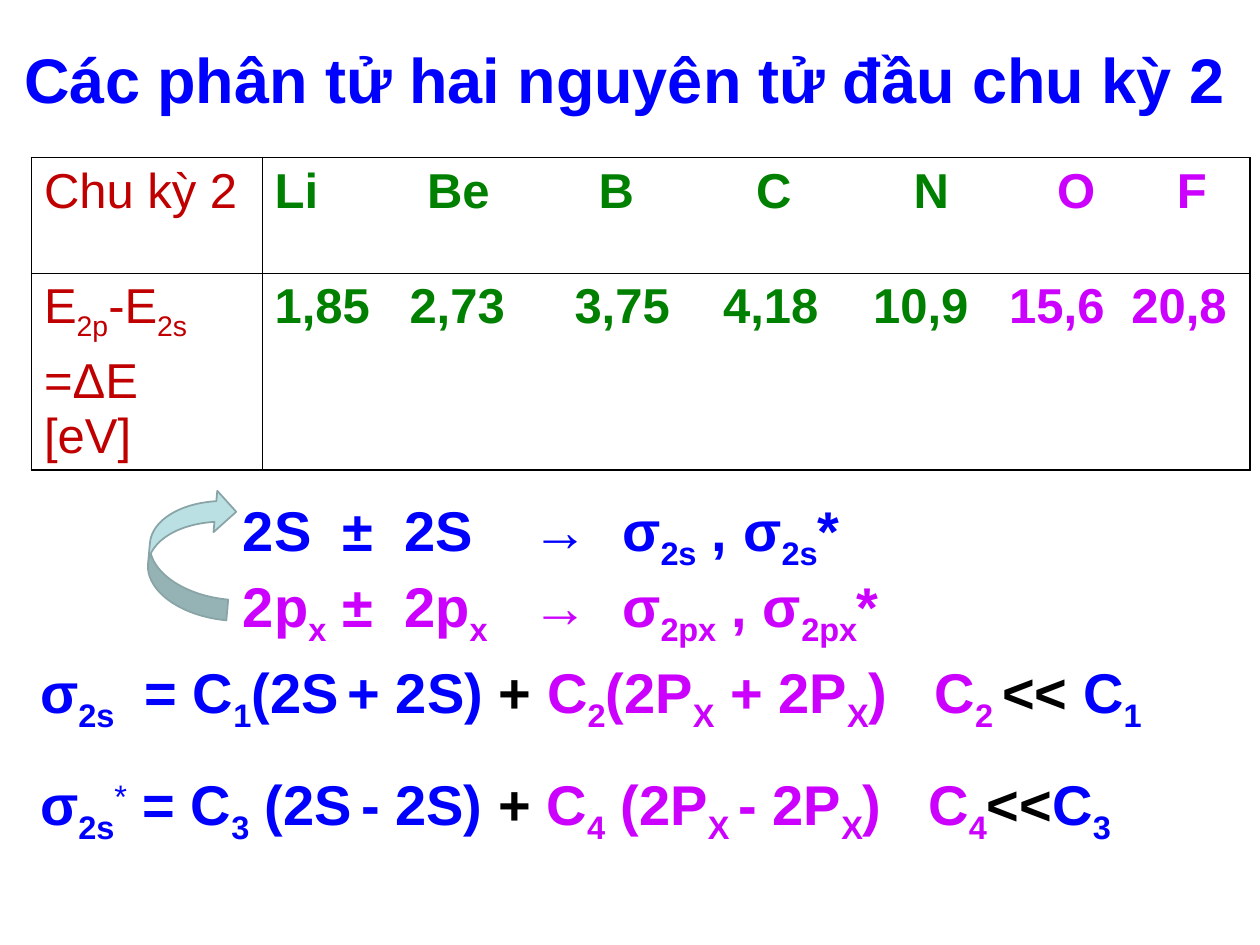
"""Build a slide on diatomic molecules at the start of period 2."""
from dataclasses import dataclass

from lxml import etree
from pptx import Presentation
from pptx.dml.color import RGBColor
from pptx.enum.shapes import MSO_SHAPE
from pptx.enum.text import MSO_ANCHOR, MSO_AUTO_SIZE, PP_ALIGN
from pptx.oxml.ns import qn
from pptx.util import Inches, Pt

BLUE = RGBColor(0x00, 0x00, 0xFF)
PURPLE = RGBColor(0xCC, 0x00, 0xFF)
GREEN = RGBColor(0x00, 0x80, 0x00)
RED = RGBColor(0xC0, 0x00, 0x00)
BLACK = RGBColor(0x00, 0x00, 0x00)
PALE_TEAL = RGBColor(0xBB, 0xE0, 0xE3)
GREY_TEAL = RGBColor(0x89, 0xA4, 0xA7)

CURVED_ARROW = MSO_SHAPE.CURVED_DOWN_ARROW
MIDDLE = MSO_ANCHOR.MIDDLE
TOP = MSO_ANCHOR.TOP
CENTER = PP_ALIGN.CENTER
NO_AUTOFIT = MSO_AUTO_SIZE.NONE
SUBSCRIPT = -25
SUPERSCRIPT = 30
OUTER_BORDER = Pt(1.08)
INNER_BORDER = Pt(0.45)


@dataclass
class Span:
    text: str
    color: RGBColor
    baseline: int = 0
    bold: bool = True


@dataclass
class Line:
    spans: list[Span]
    tabs: tuple[float, ...] = ()
    space_before: float = 0


def colored(color: RGBColor, *parts: str, bold: bool = True) -> list[Span]:
    """Return spans of one colour, where every second part is a subscript."""
    return [Span(part, color, SUBSCRIPT if index % 2 else 0, bold)
            for index, part in enumerate(parts)]


def add_text(paragraph, text: str, *, size: float, color: RGBColor,
             bold: bool = True, baseline: int = 0) -> None:
    """Append formatted text, turning newlines into line breaks."""
    for index, piece in enumerate(text.split("\n")):
        if index:
            paragraph.add_line_break()
        run = paragraph.add_run()
        run.text = piece
        run.font.name = "Arial"
        run.font.size = Pt(size)
        run.font.bold = bold
        run.font.color.rgb = color
        if baseline:
            run.font._element.set("baseline", str(baseline * 1000))


def write_lines(text_frame, lines: list[Line], size: float) -> None:
    """Fill a text frame with one paragraph for each line."""
    for index, line in enumerate(lines):
        paragraph = text_frame.add_paragraph() if index else text_frame.paragraphs[0]
        paragraph.space_before = Pt(line.space_before)
        if line.tabs:
            tab_list = etree.SubElement(paragraph._p.get_or_add_pPr(), qn("a:tabLst"))
            for position in line.tabs:
                etree.SubElement(tab_list, qn("a:tab"), pos=str(Inches(position)), algn="l")
        for span in line.spans:
            add_text(paragraph, span.text, size=size, color=span.color,
                     bold=span.bold, baseline=span.baseline)


def set_borders(cell, row: int, column: int) -> None:
    """Draw thick outer and thin inner borders in a two by two table."""
    properties = cell._tc.get_or_add_tcPr()
    outer_sides = {"L": column == 0, "R": column == 1, "T": row == 0, "B": row == 1}
    for position, (side, is_outer) in enumerate(outer_sides.items()):
        width = OUTER_BORDER if is_outer else INNER_BORDER
        border = etree.Element(qn(f"a:ln{side}"), w=str(width))
        fill = etree.SubElement(border, qn("a:solidFill"))
        etree.SubElement(fill, qn("a:srgbClr"), val=str(BLACK))
        properties.insert(position, border)


def add_energy_table(slide, rows: list[list[list[Line]]]) -> None:
    """Add the table of energy differences."""
    table = slide.shapes.add_table(2, 2, Inches(0.25), Inches(1.25),
                                   Inches(9.67), Inches(2.34)).table
    table.first_row = False
    table.horz_banding = False
    for column, width in zip(table.columns, (1.83, 7.84)):
        column.width = Inches(width)
    for row, height in zip(table.rows, (0.92, 1.42)):
        row.height = Inches(height)
    for row_index, row_cells in enumerate(rows):
        for column_index, lines in enumerate(row_cells):
            cell = table.cell(row_index, column_index)
            cell.fill.background()
            set_borders(cell, row_index, column_index)
            write_lines(cell.text_frame, lines, 28)


def add_formulas(slide, left: float, top: float, width: float, height: float,
                 lines: list[Line]) -> None:
    """Add a text box of formulas."""
    box = slide.shapes.add_textbox(Inches(left), Inches(top), Inches(width), Inches(height))
    box.text_frame.word_wrap = True
    box.text_frame.auto_size = NO_AUTOFIT
    box.text_frame.vertical_anchor = TOP
    write_lines(box.text_frame, lines, 32)


def add_title(slide, text: str) -> None:
    """Place and format the title."""
    title = slide.shapes.title
    title.left, title.top = Inches(-0.08), Inches(0)
    title.width, title.height = Inches(10.08), Inches(1.25)
    title.text_frame.auto_size = NO_AUTOFIT
    title.text_frame.vertical_anchor = MIDDLE
    paragraph = title.text_frame.paragraphs[0]
    paragraph.alignment = CENTER
    add_text(paragraph, text, size=36, color=BLUE)


def add_mixing_arrow(slide) -> None:
    """Add the curved arrow from the 2p to the 2s orbitals."""
    arrow = slide.shapes.add_shape(CURVED_ARROW, Inches(1), Inches(4.05),
                                   Inches(1.03), Inches(0.66))
    arrow.rotation = 275.2
    arrow.shadow.inherit = False
    arrow.fill.solid()
    arrow.fill.fore_color.rgb = PALE_TEAL
    arrow.line.color.rgb = GREY_TEAL
    arrow.line.width = Pt(1)


def main() -> None:
    """Create and save the presentation."""
    presentation = Presentation()
    presentation.slide_width, presentation.slide_height = Inches(10), Inches(7.5)
    slide = presentation.slides.add_slide(presentation.slide_layouts[5])
    add_title(slide, "Các phân tử hai nguyên tử đầu chu kỳ 2")

    element_tabs = (1.21, 2.57, 3.82, 5.07, 6.21, 7.16)
    energy_tabs = (1.07, 2.38, 3.56, 4.75, 5.83, 6.8)
    add_energy_table(slide, [
        [[Line(colored(RED, "Chu kỳ 2", bold=False))],
         [Line(colored(GREEN, "Li\tBe\tB\tC\tN\t") + colored(PURPLE, "O\tF"),
               element_tabs)]],
        [[Line(colored(RED, "E", "2p", "-E", "2s", bold=False)),
          Line(colored(RED, "=ΔE\n[eV]", bold=False), space_before=7)],
         [Line(colored(GREEN, "1,85\t2,73\t3,75\t4,18\t10,9\t")
               + colored(PURPLE, "15,6\t20,8"), energy_tabs)]],
    ])

    add_formulas(slide, 0.22, 5.17, 10.08, 1.59, [
        Line(colored(BLUE, "σ", "2s", "\t= C", "1", "(2S", " ", "+ 2S) ")
             + colored(BLACK, "+ ")
             + colored(PURPLE, "C", "2", "(2P", "X", " + 2P", "X", ")\tC", "2 ")
             + colored(BLACK, "<< ") + colored(BLUE, "C", "1"), (0.83, 7.1)),
        Line(colored(BLUE, "σ", "2s") + [Span("*", BLUE, SUPERSCRIPT, False)]
             + colored(BLUE, " = C", "3", " (2S", " ", "- 2S) ") + colored(BLACK, "+ ")
             + colored(PURPLE, "C", "4", " (2P", "X ", "- 2P", "X", ")\tC", "4")
             + colored(BLACK, "<<") + colored(BLUE, "C", "3"), (7.05,), 20),
    ])

    orbital_tabs = (0.79, 1.28, 2.3, 3.01)
    add_formulas(slide, 1.83, 3.88, 8.67, 2.13, [
        Line(colored(BLUE, "2S\t±\t2S\t→\tσ", "2s", " , σ", "2s", "*"), orbital_tabs),
        Line(colored(PURPLE, "2p", "x", "\t±\t2p", "x", "\t→\tσ", "2px", " , σ", "2px", "*"),
             orbital_tabs),
    ])
    add_mixing_arrow(slide)
    presentation.save("out.pptx")


if __name__ == "__main__":
    main()
